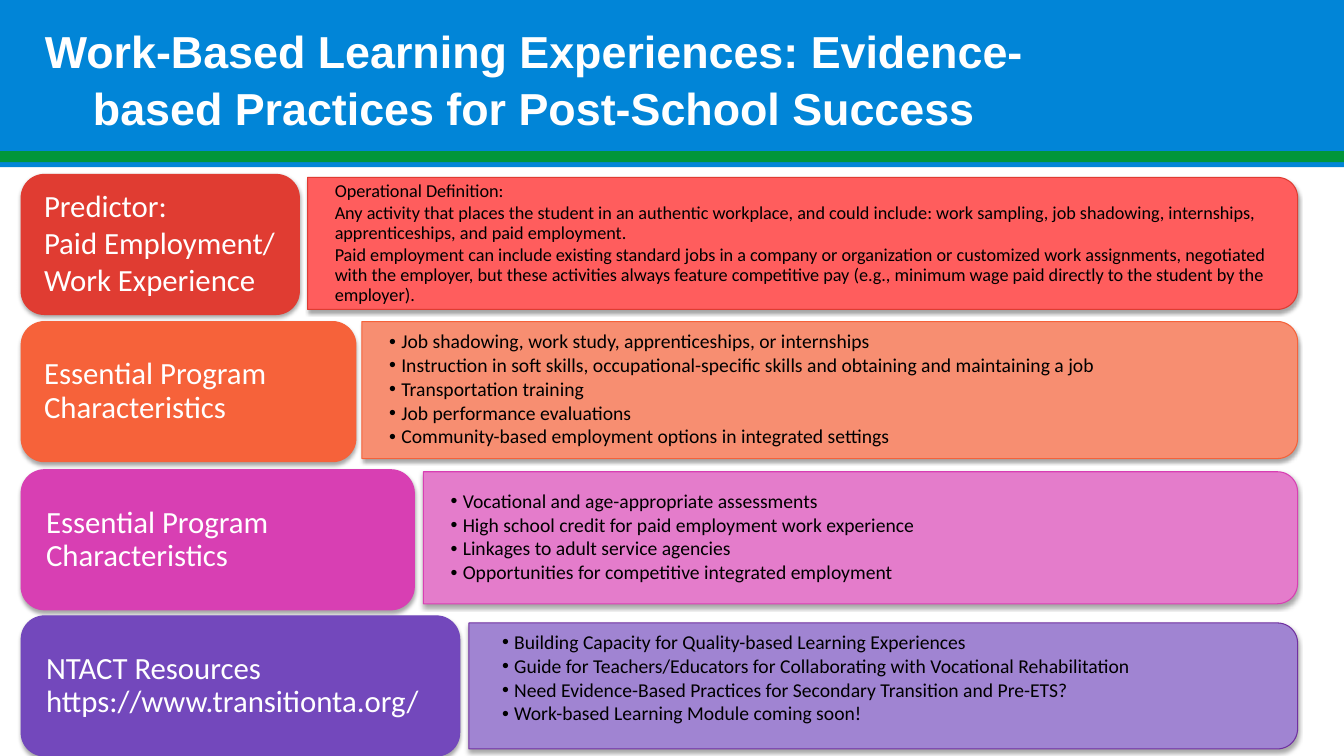
from math import cos, pi, sin

from lxml import etree
from pptx import Presentation
from pptx.dml.color import RGBColor
from pptx.enum.shapes import MSO_SHAPE as Shape
from pptx.enum.text import MSO_ANCHOR as Anchor, PP_ALIGN as Align
from pptx.oxml.ns import qn
from pptx.util import Inches, Pt

TITLE = "Work-Based Learning Experiences: Evidence-based Practices for Post-School Success"

ROWS = [
    dict(
        label=["Predictor:", "Paid Employment/", "Work Experience"],
        label_box=(0.21, 1.73, 2.76, 1.39), label_inset=0.16,
        label_fill="E03C32", label_line="E03C32",
        panel_box=(3.05, 1.76, 9.82, 1.31), panel_insets=(0.27, 0.02, 0.32, 0.02),
        panel_fill="FF5D5D", panel_line="DF3C32", size="definition", bullets=False,
        items=[
            "Operational Definition:",
            "Any activity that places the student in an authentic workplace, and could include: "
            "work sampling, job shadowing, internships, apprenticeships, and paid employment.",
            "Paid employment can include existing standard jobs in a company or organization or "
            "customized work assignments, negotiated with the employer, but these activities "
            "always feature competitive pay (e.g., minimum wage paid directly to the student by "
            "the employer).",
        ],
    ),
    dict(
        label=["Essential Program Characteristics"],
        label_box=(0.21, 3.19, 3.32, 1.39), label_inset=0.16,
        label_fill="F6623A", label_line="F5623A",
        panel_box=(3.59, 3.19, 9.28, 1.36), panel_insets=(0.27, 0.02, 0.33, 0.02),
        panel_fill="F78E71", panel_line="F5623A", size="bullet", bullets=True,
        items=[
            "Job shadowing, work study, apprenticeships, or internships",
            "Instruction in soft skills, occupational-specific skills and obtaining and "
            "maintaining a job",
            "Transportation training",
            "Job performance evaluations",
            "Community-based employment options in integrated settings",
        ],
    ),
    dict(
        label=["Essential Program Characteristics"],
        label_box=(0.21, 4.66, 3.9, 1.39), label_inset=0.18,
        label_fill="D83FB3", label_line="D83FB3",
        panel_box=(4.2, 4.68, 8.67, 1.31), panel_insets=(0.27, 0.02, 0.32, 0.02),
        panel_fill="E47CCB", panel_line="D83FB3", size="bullet", bullets=True,
        items=[
            "Vocational and age-appropriate assessments",
            "High school credit for paid employment work experience",
            "Linkages to adult service agencies",
            "Opportunities for competitive integrated employment",
        ],
    ),
    dict(
        label=["NTACT Resources https://www.transitionta.org/"],
        label_box=(0.21, 6.11, 4.35, 1.39), label_inset=0.18,
        label_fill="7348BC", label_line="7248BB",
        panel_box=(4.65, 6.18, 8.22, 1.25), panel_insets=(0.33, 0.02, 0.32, 0.16),
        panel_fill="A084D2", panel_line="7030A0", size="bullet", bullets=True,
        items=[
            "Building Capacity for Quality-based Learning Experiences",
            "Guide for Teachers/Educators for Collaborating with Vocational Rehabilitation",
            "Need Evidence-Based Practices for Secondary Transition and Pre-ETS?",
            "Work-based Learning Module coming soon!",
        ],
    ),
]

THEME = dict(
    header="0185D7", stripe="01963A", light="FFFFFF", dark="000000",
    title_font="Arial", body_font="Calibri",
    sizes=dict(title=32, label=22, bullet=14, definition=13),
    outline=0.75, corner=0.2, indent=0.12,
)


def set_attrs(target, values):
    for name, value in values.items():
        setattr(target, name, value)


def paint(sp, fill, line=None):
    sp.shadow.inherit = False
    sp.fill.solid()
    sp.fill.fore_color.rgb = RGBColor.from_string(fill)
    if line is None:
        sp.line.fill.background()
        return
    sp.line.color.rgb = RGBColor.from_string(line)
    sp.line.width = Pt(THEME["outline"])
    effects = sp._element.spPr.find(qn("a:effectLst"))
    shadow = etree.SubElement(effects, qn("a:outerShdw"), blurRad=str(Pt(3.1)),
                              dist=str(Pt(1.8)), dir="5400000", rotWithShape="0")
    color = etree.SubElement(shadow, qn("a:srgbClr"), val=THEME["dark"])
    etree.SubElement(color, qn("a:alpha"), val="35000")


def add_bullet(p):
    pPr = p._p.get_or_add_pPr()
    indent = Inches(THEME["indent"])
    pPr.set("marL", str(indent))
    pPr.set("indent", str(-indent))
    etree.SubElement(pPr, qn("a:buFont"), typeface="Arial")
    etree.SubElement(pPr, qn("a:buChar"), char="•")


def write(sp, lines, insets, size, color, font="body_font", bold=False, bullets=False,
          align=Align.LEFT, anchor=Anchor.MIDDLE, spacing=(0.9, 0.9), after=0):
    tf = sp.text_frame
    sides = ("margin_left", "margin_top", "margin_right", "margin_bottom")
    set_attrs(tf, dict(zip(sides, map(Inches, insets)), word_wrap=True,
                       vertical_anchor=anchor))
    for i, line in enumerate(lines):
        p = tf.paragraphs[0] if i == 0 else tf.add_paragraph()
        set_attrs(p, dict(alignment=align, line_spacing=spacing[min(i, 1)],
                          space_before=Pt(0), space_after=Pt(after)))
        if bullets:
            add_bullet(p)
        r = p.add_run()
        r.text = line
        set_attrs(r.font, dict(name=THEME[font], size=Pt(THEME["sizes"][size]), bold=bold))
        r.font.color.rgb = RGBColor.from_string(THEME[color])


def add_panel(shapes, left, top, width, height):
    radius, steps = THEME["corner"], 12
    right, bottom = left + width, top + height
    angles = [pi / 2 * i / steps for i in range(steps + 1)]
    upper = [(right - radius + radius * sin(a), top + radius - radius * cos(a))
             for a in angles]
    lower = [(x, top + bottom - y) for x, y in reversed(upper)]
    points = [(Inches(x), Inches(y)) for x, y in upper + lower + [(left, bottom)]]
    builder = shapes.build_freeform(Inches(left), Inches(top))
    builder.add_line_segments(points, close=True)
    return builder.convert_to_shape()


def add_row(shapes, row):
    panel = add_panel(shapes, *row["panel_box"])
    paint(panel, row["panel_fill"], row["panel_line"])
    write(panel, row["items"], row["panel_insets"], row["size"], "dark",
          bullets=row["bullets"], after=1.8)
    label = shapes.add_shape(Shape.ROUNDED_RECTANGLE, *map(Inches, row["label_box"]))
    paint(label, row["label_fill"], row["label_line"])
    inset = row["label_inset"]
    write(label, row["label"], (inset, 0.11, inset, 0.11), "label", "light",
          spacing=(0.9, 1.0))


def main():
    prs = Presentation()
    prs.slide_width, prs.slide_height = Inches(13.33), Inches(7.5)
    s = prs.slides.add_slide(prs.slide_layouts[6])
    for color, top, height in (("header", 0, 1.66), ("stripe", 1.5, 0.11)):
        band = s.shapes.add_shape(Shape.RECTANGLE, 0, Inches(top), prs.slide_width,
                                  Inches(height))
        paint(band, THEME[color])
    title = s.shapes.add_textbox(0, Inches(0.21), Inches(10.6), Inches(1.16))
    write(title, [TITLE], (0, 0, 0, 0), "title", "light", font="title_font", bold=True,
          align=Align.CENTER, anchor=Anchor.TOP, spacing=(1.05, 1.05))
    for row in ROWS:
        add_row(s.shapes, row)
    prs.save("out.pptx")


if __name__ == "__main__":
    main()
